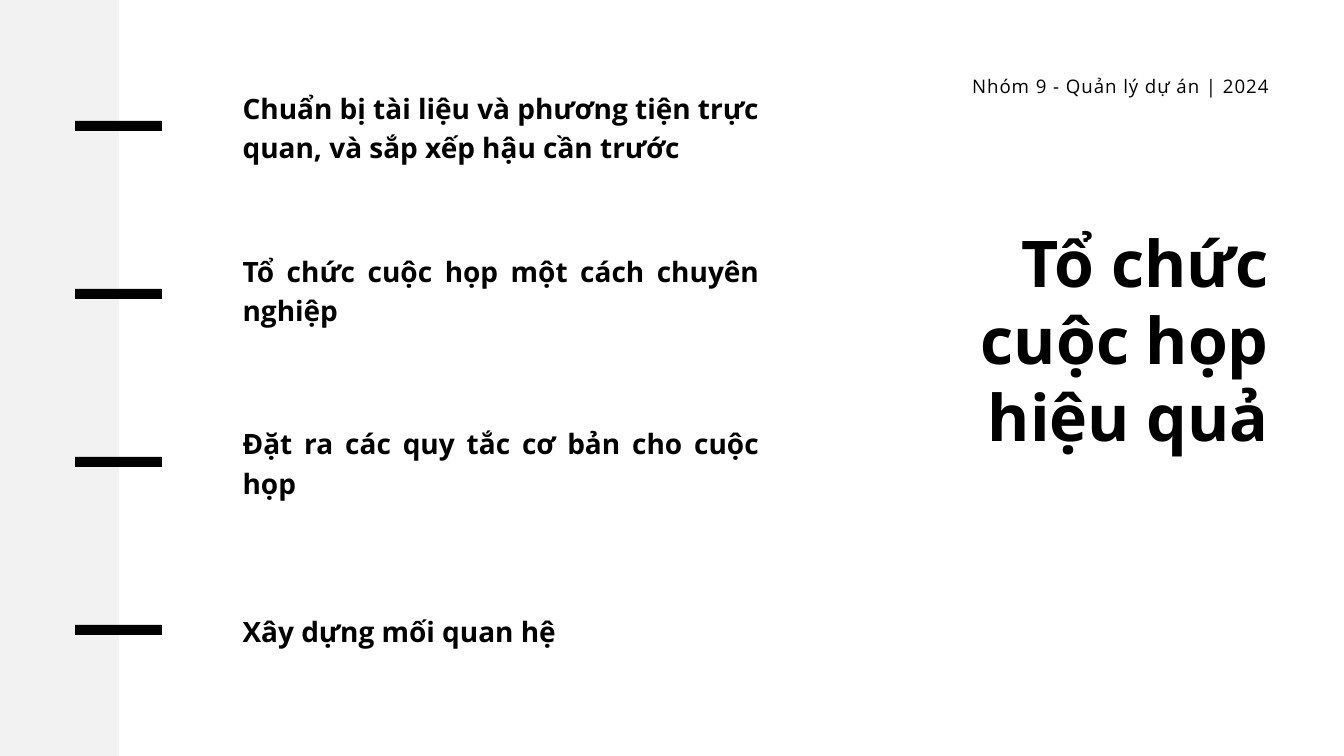
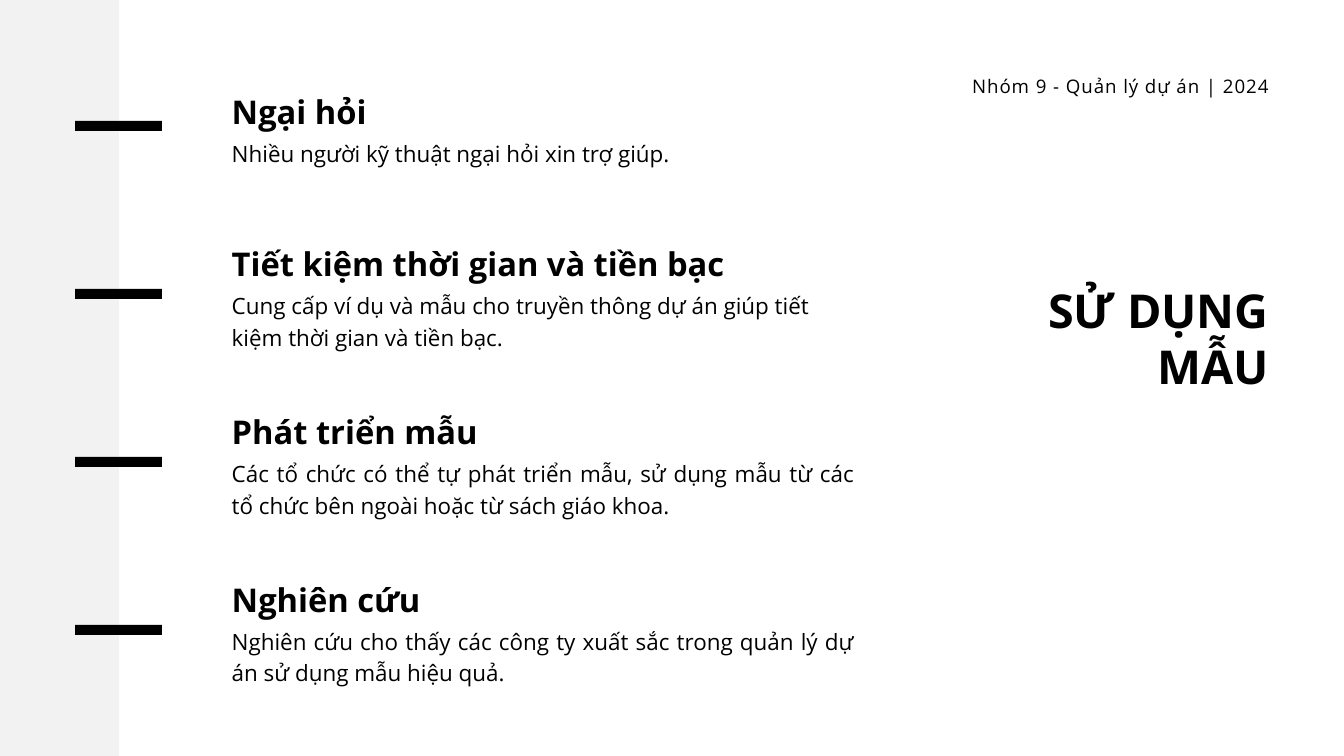
"""Build two slides on running meetings and using templates."""
from dataclasses import dataclass

from lxml import etree
from pptx import Presentation
from pptx import util as u
from pptx.dml.color import RGBColor
from pptx.enum import shapes, text
from pptx.oxml.ns import qn

BLACK = RGBColor(0, 0, 0)
FONT = "Open Sans"
LEFT, RIGHT, JUSTIFY = text.PP_ALIGN.LEFT, text.PP_ALIGN.RIGHT, text.PP_ALIGN.JUSTIFY
TITLE_ONLY_LAYOUT = 5
SLIDE_WIDTH, SLIDE_HEIGHT = 50.8, 28.58
BAND_WIDTH = 4.5
ROW_COUNT, ROW_PITCH, FIRST_MARK_TOP = 4, 6.35, 4.57
RIGHT_EDGE = 47.96
HEADING_TO_DETAIL = 1.9


@dataclass(frozen=True)
class Box:
    left: float
    top: float
    width: float
    height: float

    def lengths(self) -> list:
        return [u.Cm(value) for value in (self.left, self.top, self.width, self.height)]


@dataclass(frozen=True)
class Style:
    size: float
    line: float
    bold: bool = False
    align: text.PP_ALIGN = LEFT
    tracking: float = 0


@dataclass(frozen=True)
class Point:
    top: float
    heading: str
    height: float
    align: text.PP_ALIGN = JUSTIFY
    detail: str = ""


FOOTER = "Nhóm 9 - Quản lý dự án | 2024"
FOOTER_STYLE = Style(20, 24, align=RIGHT, tracking=1)

MEETING_POINTS = [
    Point(3.23, "Chuẩn bị tài liệu và phương tiện trực quan, và sắp xếp hậu cần trước", 2.92, LEFT),
    Point(9.4, "Tổ chức cuộc họp một cách chuyên nghiệp", 2.92),
    Point(15.93, "Đặt ra các quy tắc cơ bản cho cuộc họp", 2.92),
    Point(23.01, "Xây dựng mối quan hệ", 1.42),
]

TEMPLATE_POINTS = [
    Point(3.23, "Ngại hỏi", 1.07, JUSTIFY, "Nhiều người kỹ thuật ngại hỏi xin trợ giúp."),
    Point(8.99, "Tiết kiệm thời gian và tiền bạc", 2.24, LEFT,
          "Cung cấp ví dụ và mẫu cho truyền thông dự án giúp tiết kiệm thời gian và tiền bạc."),
    Point(15.34, "Phát triển mẫu", 2.24, JUSTIFY,
          "Các tổ chức có thể tự phát triển mẫu, sử dụng mẫu từ các tổ chức bên ngoài "
          "hoặc từ sách giáo khoa."),
    Point(21.67, "Nghiên cứu", 2.24, JUSTIFY,
          "Nghiên cứu cho thấy các công ty xuất sắc trong quản lý dự án sử dụng mẫu hiệu quả."),
]


def write_text(shape, content: str, style: Style) -> None:
    frame = shape.text_frame
    frame.text = content
    frame.word_wrap = True
    frame.auto_size = text.MSO_AUTO_SIZE.SHAPE_TO_FIT_TEXT
    frame.vertical_anchor = text.MSO_ANCHOR.TOP
    frame.margin_left = frame.margin_top = frame.margin_right = frame.margin_bottom = 0
    for paragraph in frame.paragraphs:
        paragraph.alignment = style.align
        paragraph.line_spacing = u.Pt(style.line)
        paragraph.font.name = FONT
        paragraph.font.size = u.Pt(style.size)
        paragraph.font.bold = style.bold
        paragraph.font.color.rgb = BLACK
        if style.tracking:
            for run in paragraph.runs:
                run._r.get_or_add_rPr().set("spc", str(round(style.tracking * 100)))


def add_text(parent, box: Box, content: str, style: Style) -> None:
    write_text(parent.shapes.add_textbox(*box.lengths()), content, style)


def add_rectangle(slide, box: Box, opacity: int = 100) -> None:
    rectangle = slide.shapes.add_shape(shapes.MSO_SHAPE.RECTANGLE, *box.lengths())
    rectangle.shadow.inherit = False
    rectangle.fill.solid()
    rectangle.fill.fore_color.rgb = BLACK
    rectangle.line.fill.background()
    if opacity < 100:
        color = rectangle._element.spPr.find(qn("a:solidFill"))[0]
        etree.SubElement(color, qn("a:alpha")).set("val", str(opacity * 1000))


def add_base_slide(presentation, title: str, box: Box, style: Style):
    slide = presentation.slides.add_slide(presentation.slide_layouts[TITLE_ONLY_LAYOUT])
    heading = slide.shapes.title
    heading.left, heading.top, heading.width, heading.height = box.lengths()
    write_text(heading, title, style)
    add_rectangle(slide, Box(0, 0, BAND_WIDTH, SLIDE_HEIGHT), opacity=5)
    for row in range(ROW_COUNT):
        add_rectangle(slide, Box(2.84, FIRST_MARK_TOP + row * ROW_PITCH, 3.28, 0.38))
    add_text(slide, Box(RIGHT_EDGE - 12.65, 2.82, 12.65, 0.86), FOOTER, FOOTER_STYLE)
    return slide


def add_meeting_slide(presentation) -> None:
    slide = add_base_slide(presentation, "Tổ chức\ncuộc họp\nhiệu quả",
                           Box(RIGHT_EDGE - 20.68, 8.43, 20.68, 8.74),
                           Style(69, 82.8, True, RIGHT))
    for point in MEETING_POINTS:
        add_text(slide, Box(9.17, point.top, 19.53, point.height), point.heading,
                 Style(30, 42, True, point.align))


def add_template_slide(presentation) -> None:
    slide = add_base_slide(presentation, "SỬ DỤNG MẪU",
                           Box(RIGHT_EDGE - 12.65, 10.64, 12.65, 4.27),
                           Style(50, 60, True, RIGHT))
    for point in TEMPLATE_POINTS:
        group = slide.shapes.add_group_shape()
        add_text(group, Box(8.76, point.top + HEADING_TO_DETAIL, 23.52, point.height),
                 point.detail, Style(24, 33.6, align=point.align))
        add_text(group, Box(8.76, point.top, 23.52, 1.57), point.heading, Style(35, 49, True))


def main() -> None:
    presentation = Presentation()
    presentation.slide_width = u.Cm(SLIDE_WIDTH)
    presentation.slide_height = u.Cm(SLIDE_HEIGHT)
    add_meeting_slide(presentation)
    add_template_slide(presentation)
    presentation.save("out.pptx")


if __name__ == "__main__":
    main()
